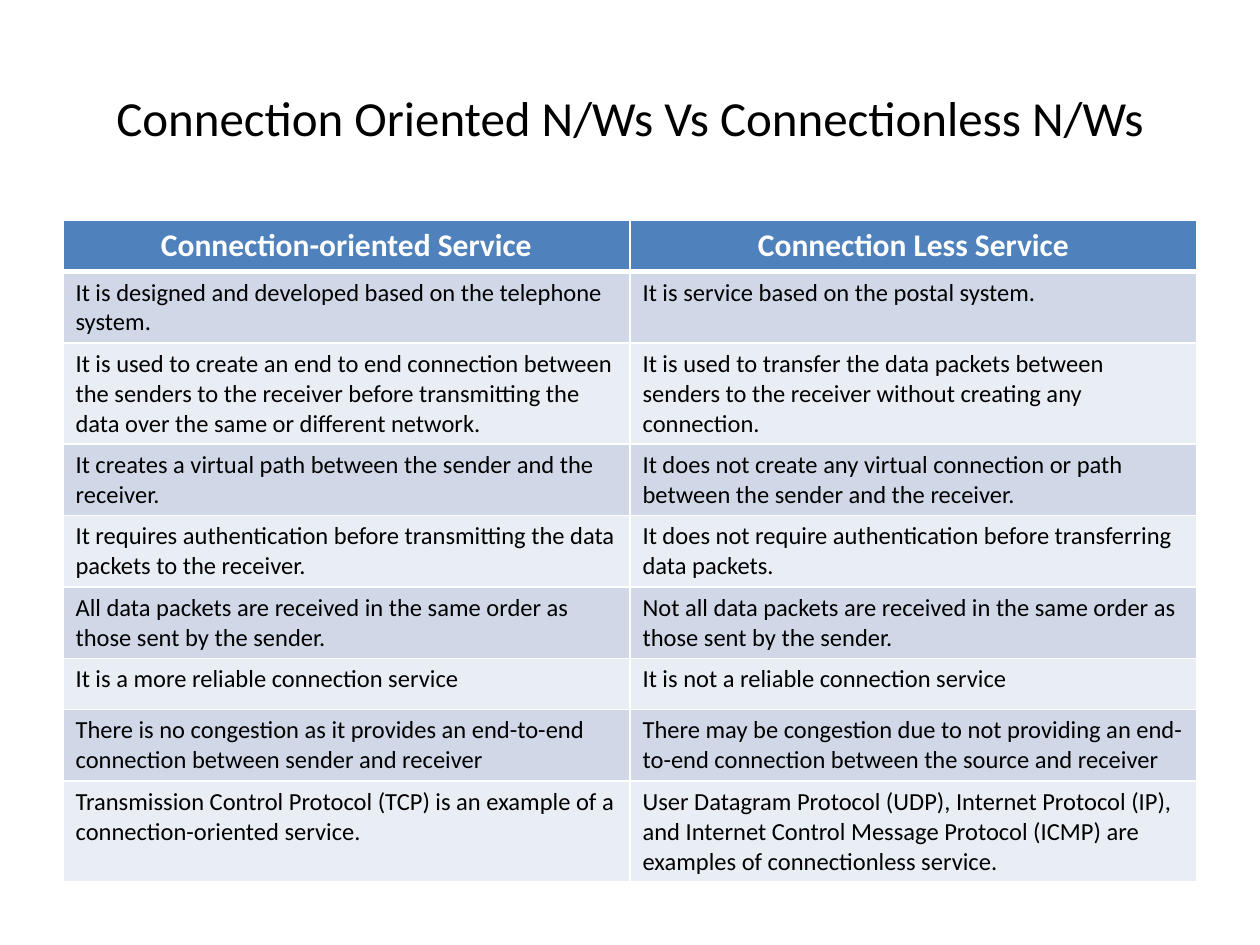
from dataclasses import dataclass

from lxml import etree
from pptx import Presentation
from pptx.dml.color import RGBColor
from pptx.enum.text import MSO_ANCHOR, PP_ALIGN
from pptx.oxml.ns import qn
from pptx.util import Inches, Pt

CENTER, LEFT = PP_ALIGN.CENTER, PP_ALIGN.LEFT
MIDDLE = MSO_ANCHOR.MIDDLE
WIDTH, HEIGHT = Inches(10), Inches(7.5)
COLS, ROWS = 20, 150

SERVICES = [
    ("Connection-oriented Service", "Connection Less Service"),
    ("It is designed and developed based on the telephone system.",
     "It is service based on the postal system."),
    ("It is used to create an end to end connection between the senders to the receiver "
     "before transmitting the data over the same or different network.",
     "It is used to transfer the data packets between senders to the receiver "
     "without creating any connection."),
    ("It creates a virtual path between the sender and the receiver.",
     "It does not create any virtual connection or path between the sender and the receiver."),
    ("It requires authentication before transmitting the data packets to the receiver.",
     "It does not require authentication before transferring data packets."),
    ("All data packets are received in the same order as those sent by the sender.",
     "Not all data packets are received in the same order as those sent by the sender."),
    ("It is a more reliable connection service",
     "It is not a reliable connection service"),
    ("There is no congestion as it provides an end-to-end connection "
     "between sender and receiver",
     "There may be congestion due to not providing an end-to-end connection "
     "between the source and receiver"),
    ("Transmission Control Protocol (TCP) is an example of a connection-oriented service.",
     "User Datagram Protocol (UDP), Internet Protocol (IP), and Internet Control Message "
     "Protocol (ICMP) are examples of connectionless service."),
]


@dataclass(frozen=True)
class Theme:
    """Colours, font, type sizes and line widths."""
    font: str = "Calibri"
    ink: str = "000000"
    paper: str = "FFFFFF"
    header: str = "4F81BD"
    bands: tuple = ("D0D8E8", "E9EDF4")
    title_size: int = 28
    header_size: int = 18
    body_size: int = 14
    rule: int = 1
    header_rule: int = 3


class Deck:
    """Draws elements on the current slide in one style."""

    def __init__(self, theme):
        """Open a presentation with one blank slide."""
        self.theme = theme
        self.prs = Presentation()
        self.prs.slide_width, self.prs.slide_height = WIDTH, HEIGHT
        self.s = self.prs.slides.add_slide(self.prs.slide_layouts[6])

    def box(self, col, row, cols, rows):
        """Turn grid units into left, top, width and height."""
        dx, dy = WIDTH / COLS, HEIGHT / ROWS
        return [round(v) for v in (col * dx, row * dy, cols * dx, rows * dy)]

    def text(self, tf, words, size, color, bold=False, align=LEFT):
        """Put one formatted paragraph in a text frame."""
        p = tf.paragraphs[0]
        p.alignment = align
        r = p.add_run()
        r.text = words
        for name, value in {"name": self.theme.font, "size": Pt(size), "bold": bold}.items():
            setattr(r.font, name, value)
        r.font.color.rgb = RGBColor.from_string(color)

    def title(self, words, *grid):
        """Add a centred heading."""
        tf = self.s.shapes.add_textbox(*self.box(*grid)).text_frame
        for name, value in {"word_wrap": True, "vertical_anchor": MIDDLE}.items():
            setattr(tf, name, value)
        self.text(tf, words, self.theme.title_size, self.theme.ink, align=CENTER)

    def borders(self, cell, top, bottom):
        """Rule the four sides of a cell."""
        rule = self.theme.rule
        widths = {"a:lnL": rule, "a:lnR": rule, "a:lnT": top, "a:lnB": bottom}
        for tag, width in widths.items():
            ln = etree.SubElement(cell._tc.get_or_add_tcPr(), qn(tag), w=str(Pt(width)))
            fill = etree.SubElement(ln, qn("a:solidFill"))
            etree.SubElement(fill, qn("a:srgbClr"), val=self.theme.paper)

    def table(self, data, *grid):
        """Add a banded table with a header row."""
        t = self.theme
        head = {"size": t.header_size, "color": t.paper, "bold": True, "align": CENTER}
        body = {"size": t.body_size, "color": t.ink}
        shape = self.s.shapes.add_table(len(data), len(data[0]), *self.box(*grid))
        for i, row in enumerate(data):
            top = t.header_rule if i == 1 else t.rule
            bottom = t.header_rule if i == 0 else t.rule
            color = t.bands[(i - 1) % 2] if i else t.header
            for j, words in enumerate(row):
                cell = shape.table.cell(i, j)
                self.borders(cell, top, bottom)
                cell.fill.solid()
                cell.fill.fore_color.rgb = RGBColor.from_string(color)
                self.text(cell.text_frame, words, **(body if i else head))


def main():
    """Build and save the slide."""
    deck = Deck(Theme())
    deck.title("Connection Oriented N/Ws Vs Connectionless N/Ws", 1, 6, 18, 25)
    deck.table(SERVICES, 1, 35, 18, 8.1 * len(SERVICES))
    deck.prs.save("out.pptx")


if __name__ == "__main__":
    main()
